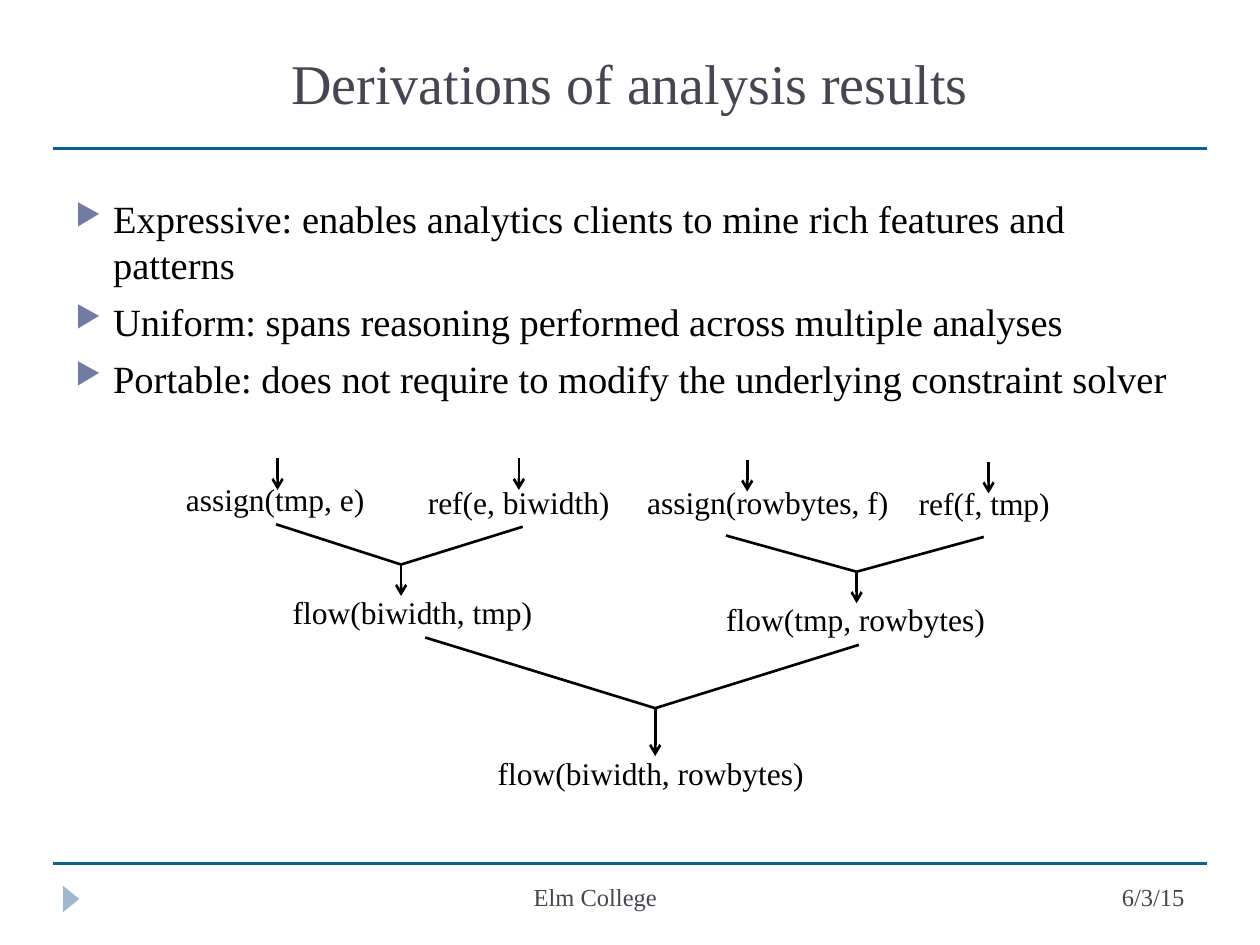
from dataclasses import dataclass

from lxml.etree import SubElement
from pptx import Presentation
from pptx.dml.color import RGBColor as RGB
from pptx.enum.shapes import MSO_CONNECTOR as CONN, MSO_SHAPE as SHAPE
from pptx.enum.text import MSO_ANCHOR as ANCHOR, PP_ALIGN as ALIGN
from pptx.oxml.ns import qn
from pptx.util import Pt


@dataclass(frozen=True)
class Theme:
    font: str = "Times New Roman"
    ink: str = "000000"
    muted: str = "464653"
    rule: str = "0F5E90"
    marker: str = "9FB8CD"
    bullet: str = "727CA3"
    title_size: int = 32
    body_size: int = 22
    label_size: int = 18
    footer_size: int = 14
    rule_width: float = 1.75
    edge_width: float = 1.5


class SlideBuilder:
    def __init__(self, slide, theme):
        self.s = slide
        self.t = theme

    def text(self, lines, box, size, color, align=ALIGN.LEFT, anchor=ANCHOR.TOP):
        tf = self.s.shapes.add_textbox(*map(Pt, box)).text_frame
        tf.word_wrap = True
        tf.vertical_anchor = anchor
        tf.text = "\n".join(lines)
        for p in tf.paragraphs:
            p.alignment = align
            for r in p.runs:
                r.font.name = self.t.font
                r.font.size = Pt(size)
                r.font.color.rgb = RGB.from_string(color)
        return tf

    def bullets(self, lines, box):
        tf = self.text(lines, box, self.t.body_size, self.t.ink)
        for p in tf.paragraphs:
            p.space_before = Pt(6)
            pPr = p._p.get_or_add_pPr()
            pPr.set("marL", str(Pt(21.6)))
            pPr.set("indent", str(-Pt(21.6)))
            clr = SubElement(pPr, qn("a:buClr"))
            SubElement(clr, qn("a:srgbClr"), val=self.t.bullet)
            SubElement(pPr, qn("a:buSzPct"), val="76000")
            SubElement(pPr, qn("a:buChar"), char="▶")

    def label(self, text, left, top, width, align=ALIGN.LEFT):
        self.text([text], (left, top, width, 29), self.t.label_size, self.t.ink, align)

    def footer(self, text, left, width, align):
        self.text([text], (left, 500.4, width, 28.8), self.t.footer_size, self.t.muted, align)

    def line(self, start, end, color, width, arrow=False):
        c = self.s.shapes.add_connector(CONN.STRAIGHT, *map(Pt, (*start, *end)))
        c.line.color.rgb = RGB.from_string(color)
        c.line.width = Pt(width)
        if arrow:
            SubElement(c.line._get_or_add_ln(), qn("a:tailEnd"), type="arrow")
        SubElement(c._element.spPr, qn("a:effectLst"))

    def rule(self, y):
        self.line((30.2, y), (689.8, y), self.t.rule, self.t.rule_width)

    def edge(self, start, end, arrow=False):
        self.line(start, end, self.t.ink, self.t.edge_width, arrow)

    def drop(self, x, y, length=18):
        self.edge((x, y), (x, y + length), arrow=True)

    def join(self, left, right, joint, length=18):
        self.edge(left, joint)
        self.edge(right, joint)
        self.drop(*joint, length)

    def marker(self, box):
        sp = self.s.shapes.add_shape(SHAPE.ISOSCELES_TRIANGLE, *map(Pt, box))
        sp.rotation = 90
        sp.shadow.inherit = False
        sp.fill.solid()
        sp.fill.fore_color.rgb = RGB.from_string(self.t.marker)
        sp.line.fill.background()


def main():
    prs = Presentation()
    prs.slide_width, prs.slide_height = Pt(720), Pt(540)
    theme = Theme()
    b = SlideBuilder(prs.slides.add_slide(prs.slide_layouts[6]), theme)

    b.marker((33.1, 509, 15.1, 9.4))
    for y in (85, 493.2):
        b.rule(y)
    b.text(["Derivations of analysis results"], (36, 12.2, 648, 69.8),
           theme.title_size, theme.muted, ALIGN.CENTER, ANCHOR.MIDDLE)
    b.bullets([
        "Expressive: enables analytics clients to mine rich features and patterns",
        "Uniform: spans reasoning performed across multiple analyses",
        "Portable: does not require to modify the underlying constraint solver",
    ], (36, 108, 648, 119.5))

    for label in (
        ("assign(tmp, e)", 99.2, 270.7, 117.4),
        ("ref(e, biwidth)", 224.8, 272.2, 143.3, ALIGN.CENTER),
        ("assign(rowbytes, f)", 362.7, 272.6, 154),
        ("ref(f, tmp)", 505.2, 273.2, 114.5, ALIGN.CENTER),
        ("flow(biwidth, tmp)", 160.2, 335.3, 165.6),
        ("flow(tmp, rowbytes)", 407.9, 339.2, 165.6),
        ("flow(biwidth, rowbytes)", 277.3, 427.5, 193.7),
    ):
        b.label(*label)

    for x, y in ((158.6, 262), (296.5, 262), (427, 262.9), (564.9, 264)):
        b.drop(x, y)

    b.join((157.8, 299.6), (298.7, 301), (229.2, 322.6))
    b.join((414.8, 306), (562.2, 306.8), (489.5, 326.7))
    b.join((243, 364.3), (490.8, 368.5), (374.4, 404.7), 27.3)

    b.footer("Elm College", 112.3, 455.8, ALIGN.CENTER)
    b.footer("6/3/15", 504, 180, ALIGN.RIGHT)
    prs.save("out.pptx")


if __name__ == "__main__":
    main()
